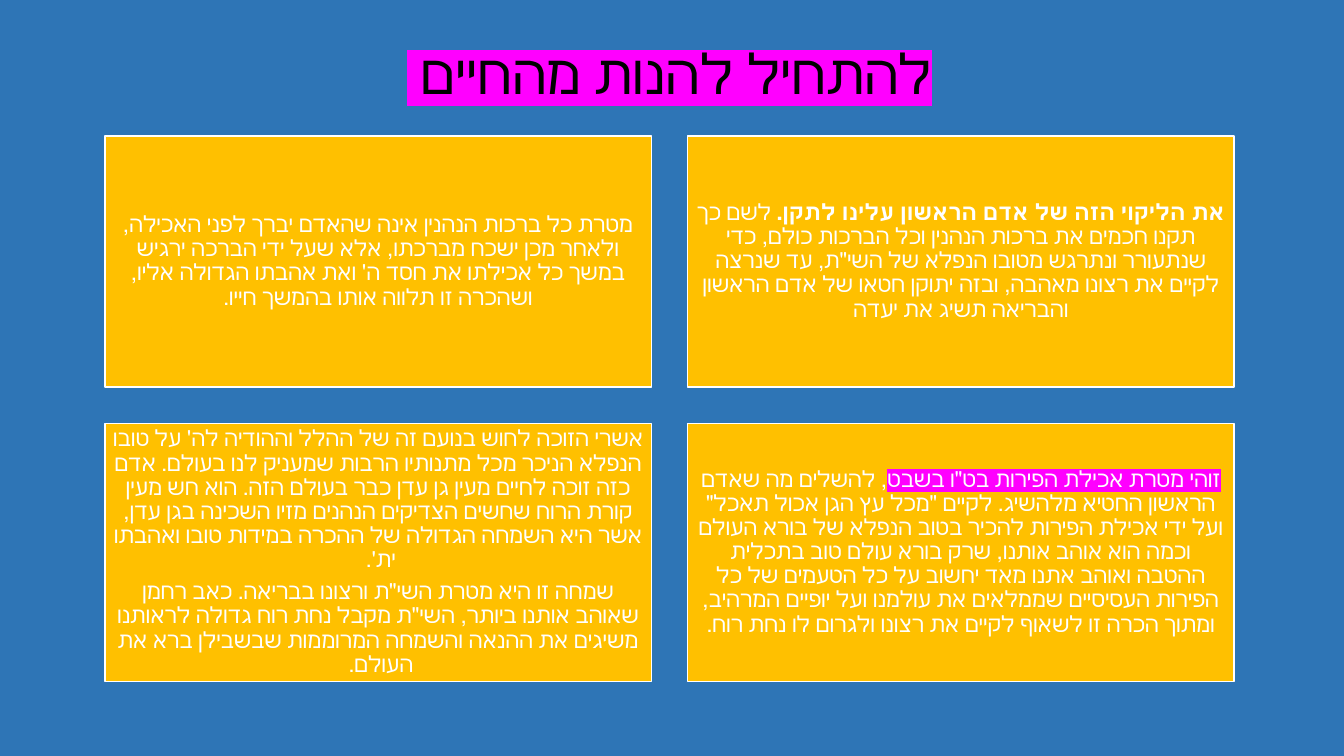
"""Build the slide about learning to enjoy life, with four text cards."""
import pptx
import pptx.dml.color
import pptx.enum.text
import pptx.enum.shapes
import pptx.oxml
import pptx.oxml.ns
import pptx.util

Inches = pptx.util.Inches
COLORS = {"background": "2E75B6", "card": "FFC000", "light": "FFFFFF",
          "dark": "000000", "marker": "FF00FF"}
FONT = "Calibri"

HEADING = "להתחיל להנות מהחיים "
CARDS = [
    [
        [[("מטרת כל ברכות הנהנין אינה שהאדם יברך לפני האכילה, ולאחר מכן ישכח מברכתו, אלא שעל ידי הברכה ירגיש במשך כל אכילתו את חסד ה' ואת אהבתו הגדולה אליו, ושהכרה זו תלווה אותו בהמשך חייו.", {})]],
        [[("את הליקוי הזה של אדם הראשון עלינו לתקן.", {"bold": True}),
          (" לשם כך תקנו חכמים את ברכות הנהנין וכל הברכות כולם, כדי שנתעורר ונתרגש מטובו הנפלא של השי\"ת, עד שנרצה לקיים את רצונו מאהבה, ובזה יתוקן חטאו של אדם הראשון והבריאה תשיג את יעדה", {})]],
    ],
    [
        [[("אשרי הזוכה לחוש בנועם זה של ההלל וההודיה לה' על טובו הנפלא הניכר מכל מתנותיו הרבות שמעניק לנו בעולם. אדם כזה זוכה לחיים מעין גן עדן כבר בעולם הזה. הוא חש מעין קורת הרוח שחשים הצדיקים הנהנים מזיו השכינה בגן עדן, אשר היא השמחה הגדולה של ההכרה במידות טובו ואהבתו ית'. ", {})],
         [("שמחה זו היא מטרת השי\"ת ורצונו בבריאה. כאב רחמן שאוהב אותנו ביותר, השי\"ת מקבל נחת רוח גדולה לראותנו משיגים את ההנאה והשמחה המרוממות שבשבילן ברא את העולם. ", {})]],
        [[("זוהי מטרת אכילת הפירות בט\"ו בשבט", {"marker": COLORS["marker"]}),
          (", להשלים מה שאדם הראשון החטיא מלהשיג. לקיים \"מכל עץ הגן אכול תאכל\" ועל ידי אכילת הפירות להכיר בטוב הנפלא של בורא העולם וכמה הוא אוהב אותנו, שרק בורא עולם טוב בתכלית ההטבה ואוהב אתנו מאד יחשוב על כל הטעמים של כל הפירות העסיסיים שממלאים את עולמנו ועל יופיים המרהיב, ומתוך הכרה זו לשאוף לקיים את רצונו ולגרום לו נחת רוח.", {})]],
    ],
]
CARD_LEFT, CARD_TOP = 1.04, 1.35
CARD_WIDTH, GAP = 5.42, 0.36
ROW_HEIGHTS = [2.49, 2.56]
CARD_INSET = 0.07


def rgb(name):
    return pptx.dml.color.RGBColor.from_string(COLORS[name])


def add_run(paragraph, text, size=16, color="light", bold=False, marker=None):
    run = paragraph.add_run()
    run.text = text
    run.font.size = pptx.util.Pt(size)
    run.font.bold = bold
    run.font.color.rgb = rgb(color)
    run.font.name = FONT
    if marker:
        latin = run.font._element.find(pptx.oxml.ns.qn("a:latin"))
        latin.addprevious(pptx.oxml.parse_xml(
            f'<a:highlight {pptx.oxml.ns.nsdecls("a")}>'
            f'<a:srgbClr val="{marker}"/></a:highlight>'))


def fill_text(frame, paragraphs, space_after=0, **style):
    frame.word_wrap = True
    frame.auto_size = pptx.enum.text.MSO_AUTO_SIZE.NONE
    frame.vertical_anchor = pptx.enum.text.MSO_ANCHOR.MIDDLE
    for index, runs in enumerate(paragraphs):
        paragraph = frame.add_paragraph() if index else frame.paragraphs[0]
        paragraph.alignment = pptx.enum.text.PP_ALIGN.CENTER
        paragraph.line_spacing = 0.9
        paragraph.space_after = pptx.util.Pt(space_after)
        paragraph._p.get_or_add_pPr().set("rtl", "1")
        for text, emphasis in runs:
            add_run(paragraph, text, **style, **emphasis)


def add_card(slide, left, top, height, paragraphs):
    card = slide.shapes.add_shape(
        pptx.enum.shapes.MSO_SHAPE.RECTANGLE,
        Inches(left), Inches(top), Inches(CARD_WIDTH), Inches(height))
    card.shadow.inherit = False
    card.fill.solid()
    card.fill.fore_color.rgb = rgb("card")
    card.line.color.rgb = rgb("light")
    card.line.width = pptx.util.Pt(1)
    frame = card.text_frame
    frame.margin_left = frame.margin_right = Inches(CARD_INSET)
    frame.margin_top = frame.margin_bottom = Inches(CARD_INSET)
    fill_text(frame, paragraphs, space_after=5.6)


def main():
    deck = pptx.Presentation()
    deck.slide_width, deck.slide_height = Inches(13.33), Inches(7.5)
    slide = deck.slides.add_slide(deck.slide_layouts[5])
    slide.background.fill.solid()
    slide.background.fill.fore_color.rgb = rgb("background")

    heading = slide.shapes.title
    heading.left, heading.top = Inches(0.89), Inches(0.41)
    heading.width, heading.height = Inches(11.5), Inches(0.7)
    fill_text(heading.text_frame, [[(HEADING, {"marker": COLORS["marker"]})]],
              size=39.6, color="dark")

    top = CARD_TOP
    for height, row in zip(ROW_HEIGHTS, CARDS):
        for column, paragraphs in enumerate(row):
            left = CARD_LEFT + column * (CARD_WIDTH + GAP)
            add_card(slide, left, top, height, paragraphs)
        top += height + GAP

    deck.save("out.pptx")


if __name__ == "__main__":
    main()
